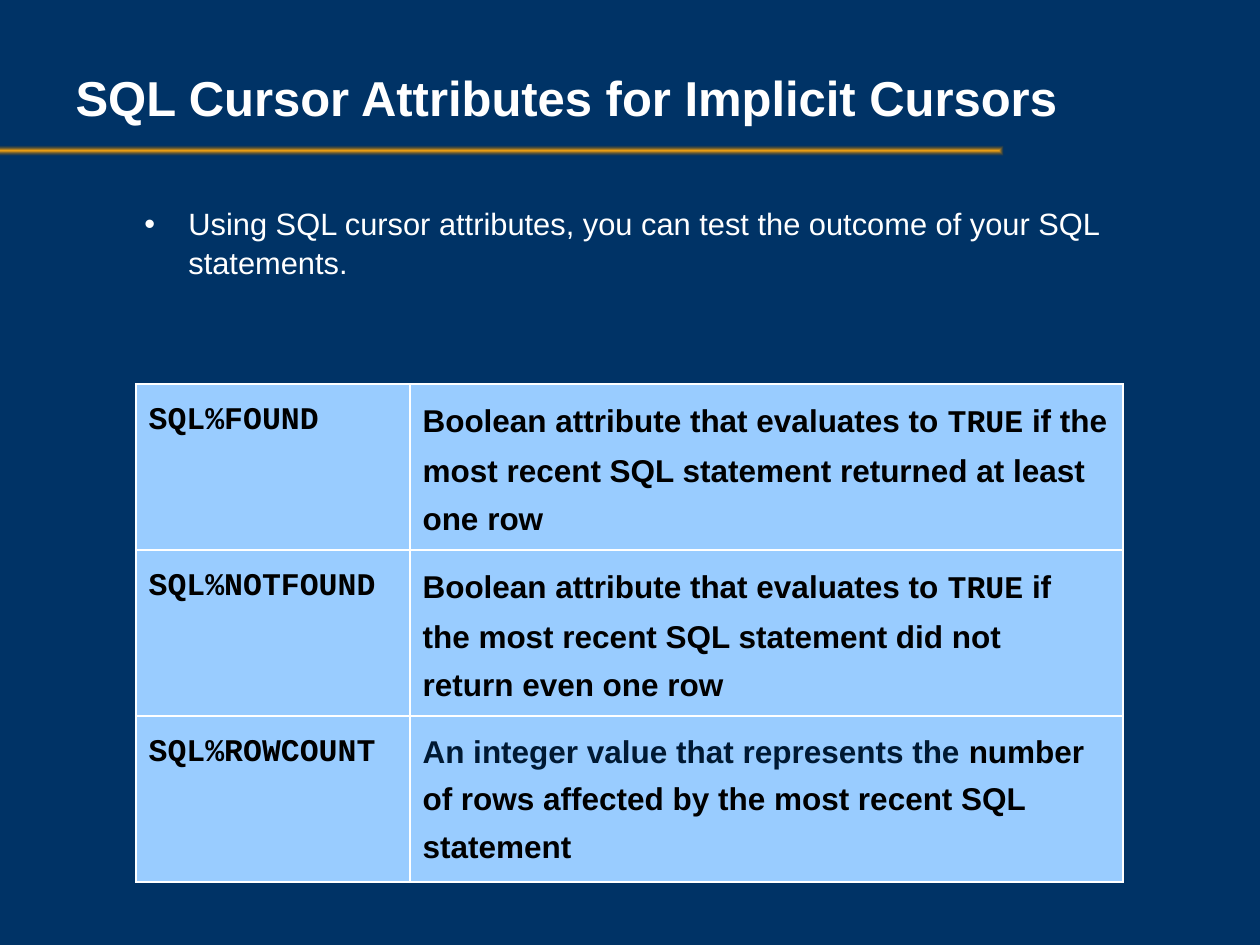
from pptx import Presentation
from pptx.dml.color import RGBColor
from pptx.enum.shapes import MSO_SHAPE
from pptx.enum.text import MSO_ANCHOR, PP_ALIGN
from pptx.oxml import parse_xml
from pptx.oxml.ns import nsdecls
from pptx.util import Pt

RECT = MSO_SHAPE.RECTANGLE
MIDDLE, TOP = MSO_ANCHOR.MIDDLE, MSO_ANCHOR.TOP
LEFT = PP_ALIGN.LEFT
PX = 914400 / 126
SANS, MONO = "Arial", "Courier New"
COLORS = {
    "background": "003366", "white": "FFFFFF", "black": "000000",
    "cell": "99CCFF", "navy": "001933", "gold": "FAA712", "brown": "744D08",
}
TRUE_INTRO = [("Boolean attribute that evaluates to ", SANS, "black"),
              ("TRUE", MONO, "black")]
ATTRIBUTES = [
    ("SQL%FOUND", TRUE_INTRO + [
        (" if the most recent SQL statement returned at least one row", SANS, "black")]),
    ("SQL%NOTFOUND", TRUE_INTRO + [
        (" if \nthe most recent SQL statement did not\nreturn even one row", SANS, "black")]),
    ("SQL%ROWCOUNT", [
        ("An integer value that represents the ", SANS, "navy"),
        ("number of rows affected by the most recent SQL statement", SANS, "black")]),
]


def px(*values):
    return [round(v * PX) for v in values]


def rgb(name):
    return RGBColor.from_string(COLORS[name])


def style(font, name, size, color, bold=False):
    font.name, font.size, font.bold = name, Pt(size), bold
    font.color.rgb = rgb(color)


def add_rule(slide, *box):
    """Gold bar that fades towards its edges."""
    s = slide.shapes.add_shape(RECT, *px(*box))
    s.shadow.inherit = False
    s.line.fill.background()
    s.fill.background()
    no_fill = s._element.spPr.find("{*}noFill")
    no_fill.getparent().replace(no_fill, parse_xml(
        f'<a:gradFill {nsdecls("a")} rotWithShape="1"><a:gsLst>'
        f'<a:gs pos="0"><a:srgbClr val="{COLORS["gold"]}"/></a:gs>'
        f'<a:gs pos="100000"><a:srgbClr val="{COLORS["brown"]}"><a:alpha val="0"/></a:srgbClr></a:gs>'
        '</a:gsLst><a:path path="rect">'
        '<a:fillToRect l="50000" t="50000" r="50000" b="50000"/></a:path></a:gradFill>'))


def set_title(slide, text, *box):
    s = slide.shapes.title
    s.left, s.top, s.width, s.height = px(*box)
    tf = s.text_frame
    tf.text = text
    tf.vertical_anchor = MIDDLE
    p = tf.paragraphs[0]
    p.alignment = LEFT
    style(p.runs[0].font, SANS, 28, "white", True)


def add_bullet(slide, text, *box):
    tf = slide.shapes.add_textbox(*px(*box)).text_frame
    tf.word_wrap = True
    tf.text = text
    p = tf.paragraphs[0]
    p.line_spacing = 1.05
    margin, indent = px(58, -44)
    pPr = p._p.get_or_add_pPr()
    pPr.set("marL", str(margin))
    pPr.set("indent", str(indent))
    for xml in (f'<a:buClr {nsdecls("a")}><a:srgbClr val="{COLORS["white"]}"/></a:buClr>',
                f'<a:buFont {nsdecls("a")} typeface="{SANS}"/>',
                f'<a:buChar {nsdecls("a")} char="•"/>'):
        pPr.append(parse_xml(xml))
    style(p.runs[0].font, SANS, 17.6, "white")


def fill_cell(cell, parts):
    """Write (text, font, colour) parts; a newline in a part is a line break."""
    tcPr = cell._tc.get_or_add_tcPr()
    for side in "LRTB":
        tcPr.append(parse_xml(
            f'<a:ln{side} {nsdecls("a")} w="{Pt(1.08)}"><a:solidFill>'
            f'<a:srgbClr val="{COLORS["white"]}"/></a:solidFill></a:ln{side}>'))
    cell.fill.solid()
    cell.fill.fore_color.rgb = rgb("cell")
    cell.vertical_anchor = TOP
    p = cell.text_frame.paragraphs[0]
    p.line_spacing = 1.35
    for text, font, color in parts:
        for i, line in enumerate(text.split("\n")):
            if i:
                p.add_line_break()
            r = p.add_run()
            r.text = line
            style(r.font, font, 18, color, True)


def add_attribute_table(slide, left, top, widths, row_height):
    rows = len(ATTRIBUTES)
    frame = slide.shapes.add_table(
        rows, len(widths), *px(left, top, sum(widths), rows * row_height))
    table = frame.table
    table.first_row = table.horz_banding = False
    for column, width in zip(table.columns, px(*widths)):
        column.width = width
    for i, (name, description) in enumerate(ATTRIBUTES):
        table.rows[i].height = px(row_height)[0]
        fill_cell(table.cell(i, 0), [(name, MONO, "black")])
        fill_cell(table.cell(i, 1), description)


def main():
    prs = Presentation()
    prs.slide_width, prs.slide_height = px(1260, 945)
    slide = prs.slides.add_slide(prs.slide_layouts[5])
    slide.background.fill.solid()
    slide.background.fill.fore_color.rgb = rgb("background")
    add_rule(slide, -4, 146, 1008, 10)
    set_title(slide, "SQL Cursor Attributes for Implicit Cursors", 63, 23, 1081, 147)
    add_bullet(slide, "Using SQL cursor attributes, you can test the outcome of "
               "your SQL statements.", 118, 197, 1091, 96)
    add_attribute_table(slide, 136, 384, (274, 713), 166)
    prs.save("out.pptx")


if __name__ == "__main__":
    main()
